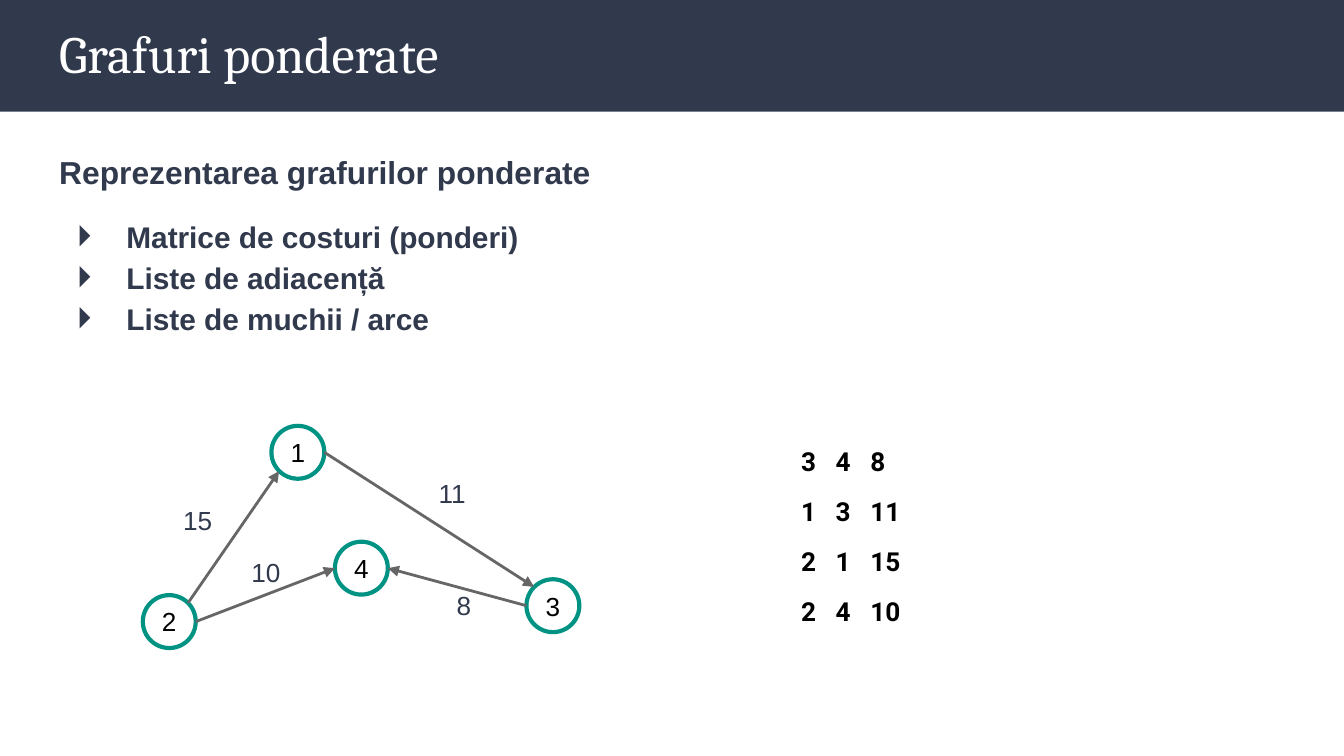
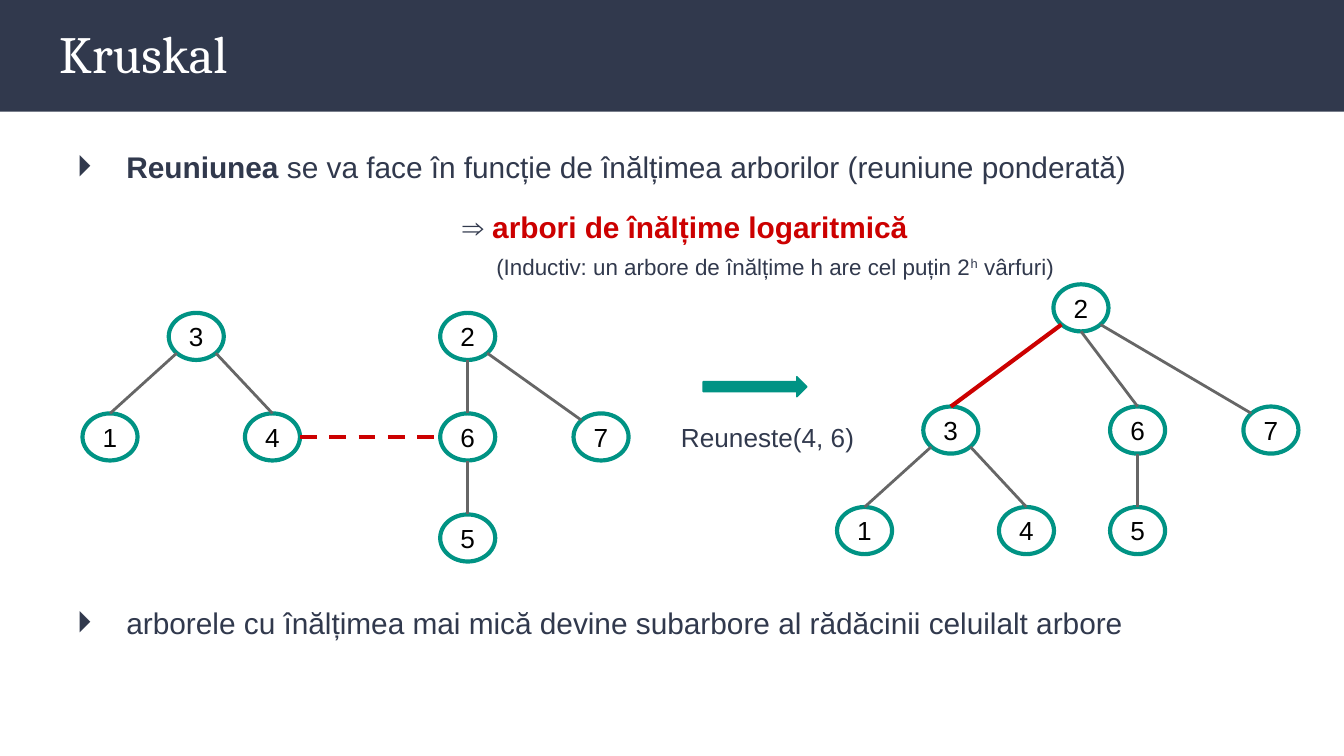
from lxml import etree
from pptx import Presentation
from pptx import util as u
from pptx.dml.color import RGBColor
from pptx.enum import dml, shapes, text
from pptx.oxml.ns import qn

NAVY = RGBColor(0x31, 0x39, 0x4D)
TEAL = RGBColor(0x00, 0x93, 0x84)
RED = RGBColor(0xCC, 0x00, 0x00)
GRAY = RGBColor(0x66, 0x66, 0x66)
BLACK = RGBColor(0x00, 0x00, 0x00)
WHITE = RGBColor(0xFF, 0xFF, 0xFF)

WIDTH, HEIGHT = 25.4, 14.29
DIAGONAL = 0.71
SITES = {
    "N": (0, -1), "S": (0, 1), "W": (-1, 0), "E": (1, 0),
    "NW": (-DIAGONAL, -DIAGONAL), "NE": (DIAGONAL, -DIAGONAL),
    "SW": (-DIAGONAL, DIAGONAL), "SE": (DIAGONAL, DIAGONAL),
}


def add_frame(page, left, top, width, height):
    box = page.shapes.add_textbox(u.Cm(left), u.Cm(top), u.Cm(width), u.Cm(height))
    frame = box.text_frame
    frame.word_wrap = True
    frame.margin_left = frame.margin_right = u.Cm(0.25)
    frame.margin_top = frame.margin_bottom = u.Cm(0.25)
    return frame


def write(frame, words, para=None, size=14, font="Arial", color=NAVY, bold=False,
          spacing=None, before=None, margin=0, bullet=False, align=None,
          raised=False, tracking=0):
    if para is None:
        para = frame.add_paragraph() if frame.text else frame.paragraphs[0]
        props = para._p.get_or_add_pPr()
        props.set("marL", str(int(u.Cm(margin))))
        props.set("indent", str(int(u.Cm(-0.94 if bullet else 0))))
        if bullet:
            tint = etree.SubElement(props, qn("a:buClr"))
            etree.SubElement(tint, qn("a:srgbClr"), val=str(NAVY))
            etree.SubElement(props, qn("a:buFont"), typeface=font)
            etree.SubElement(props, qn("a:buChar"), char="⏵")
        if spacing:
            para.line_spacing = spacing
        if before:
            para.space_before = u.Pt(before)
        if align is not None:
            para.alignment = align
    span = para.add_run()
    span.text = words
    span.font.size = u.Pt(size)
    span.font.name = font
    span.font.bold = bold
    span.font.color.rgb = color
    if raised:
        span._r.get_or_add_rPr().set("baseline", "30000")
    if tracking:
        span._r.get_or_add_rPr().set("spc", str(tracking * 100))
    return para


deck = Presentation()
deck.slide_width, deck.slide_height = u.Cm(WIDTH), u.Cm(HEIGHT)

pages, bodies = [], []
for title in ("Grafuri ponderate", "Kruskal"):
    page = deck.slides.add_slide(deck.slide_layouts[6])
    band = page.shapes.add_shape(shapes.MSO_SHAPE.RECTANGLE, 0, 0, u.Cm(WIDTH), u.Cm(2.11))
    band.shadow.inherit = False
    band.fill.solid()
    band.fill.fore_color.rgb = NAVY
    band.line.fill.background()
    heading = add_frame(page, 0.87, 0.13, 23.67, 1.73)
    heading.vertical_anchor = text.MSO_ANCHOR.MIDDLE
    write(heading, title, size=28, font="Cambria", color=WHITE)
    pages.append(page)
    bodies.append(add_frame(page, 0.87, 2.53, 23.67, 10.44))
weighted_page, kruskal_page = pages
weighted_body, kruskal_body = bodies

write(weighted_body, "Reprezentarea grafurilor ponderate", size=17, bold=True, spacing=1.15)
for before, item in (
    (12, "Matrice de costuri (ponderi)"),
    (0, "Liste de adiacență"),
    (0, "Liste de muchii / arce"),
):
    write(weighted_body, item, size=16, bold=True, spacing=1.15, before=before,
          margin=1.27, bullet=True)

para = write(kruskal_body, "Reuniunea", size=16, bold=True, spacing=1.05,
             margin=1.27, bullet=True)
write(kruskal_body, " se va face în funcție de înălțimea arborilor (reuniune ponderată)",
      para=para, size=16)
para = write(kruskal_body, "⇒ ", size=16, spacing=1.05, before=12, margin=7.62)
write(kruskal_body, "arbori de înălțime logaritmică", para=para, size=16, color=RED, bold=True)
para = write(kruskal_body, "(Inductiv: un arbore de înălțime h are cel puțin 2",
             size=12, spacing=1.05, before=4, margin=8.26)
write(kruskal_body, "h", para=para, size=12, raised=True)
write(kruskal_body, " vârfuri)", para=para, size=12)
write(kruskal_body,
      "arborele cu înălțimea mai mică devine subarbore al rădăcinii celuilalt arbore",
      size=16, spacing=1.05, before=173, margin=1.27, bullet=True)

graphs = [
    (weighted_page, 1.0, 1.0, True,
     {"1": (5.63, 8.55), "2": (3.2, 11.75), "4": (6.83, 10.74), "3": (10.45, 11.45)},
     ["2 NE 1 SW", "1 E 3 NW", "2 E 4 W", "3 W 4 E"], None, None),
    (kruskal_page, 1.04, 0.89, False,
     {"3": (3.71, 6.36), "1": (2.08, 8.26), "4": (5.15, 8.26), "2": (8.84, 6.36),
      "6": (8.84, 8.26), "7": (11.36, 8.26), "5": (8.84, 10.17)},
     ["3 SW 1 N", "3 SE 4 N", "2 S 6 N", "2 SE 7 NW", "6 S 5 N"],
     "4 E 6 W", dml.MSO_LINE.DASH),
    (kruskal_page, 1.04, 0.89, False,
     {"2": (20.43, 5.82), "3": (17.97, 8.13), "6": (21.5, 8.13), "7": (24.02, 8.13),
      "1": (16.34, 10.03), "4": (19.4, 10.03), "5": (21.5, 10.03)},
     ["3 SW 1 N", "3 SE 4 N", "2 S 6 N", "2 SE 7 NW", "6 S 5 N"],
     "2 SW 3 N", None),
]
for page, width, height, directed, nodes, edges, union_edge, dash in graphs:
    for name, (x, y) in nodes.items():
        node = page.shapes.add_shape(
            shapes.MSO_SHAPE.OVAL, u.Cm(x - width / 2), u.Cm(y - height / 2),
            u.Cm(width), u.Cm(height))
        node.shadow.inherit = False
        node.fill.background()
        node.line.color.rgb = TEAL
        node.line.width = u.Pt(2.25)
        frame = node.text_frame
        frame.margin_left = frame.margin_right = u.Cm(0.05)
        frame.margin_top = frame.margin_bottom = u.Cm(0.05)
        frame.vertical_anchor = text.MSO_ANCHOR.MIDDLE
        write(frame, name, color=BLACK, align=text.PP_ALIGN.CENTER)

    for edge in edges + ([union_edge] if union_edge else []):
        start, start_site, end, end_site = edge.split()
        ends = []
        for name, site in ((start, start_site), (end, end_site)):
            (x, y), (dx, dy) = nodes[name], SITES[site]
            ends += [u.Cm(x + dx * width / 2), u.Cm(y + dy * height / 2)]
        link = page.shapes.add_connector(shapes.MSO_CONNECTOR.STRAIGHT, *ends)
        is_union = edge == union_edge
        link.line.color.rgb = RED if is_union else GRAY
        link.line.width = u.Pt(2.25 if is_union else 1.5)
        if is_union and dash:
            link.line.dash_style = dash
        props = link._element.spPr
        if directed:
            etree.SubElement(props.find(qn("a:ln")), qn("a:tailEnd"), type="triangle")
        etree.SubElement(props, qn("a:effectLst"))

for cost, left, top in (("15", 3.21, 9.28), ("11", 8.04, 8.77),
                        ("10", 4.5, 10.26), ("8", 8.38, 10.9)):
    write(add_frame(weighted_page, left, top, 1.2, 1.12), cost)

edge_list = add_frame(weighted_page, 14.89, 8.17, 3, 3.99)
edge_style = dict(font="Roboto", color=BLACK, bold=True)
for index, (start, end, cost) in enumerate(("348", ("1", "3", "11"), ("2", "1", "15"),
                                            ("2", "4", "10"))):
    para = write(edge_list, start, before=10 if index else 0, **edge_style)
    for value in (end, cost):
        write(edge_list, " ", para=para, tracking=7, **edge_style)
        write(edge_list, value, para=para, **edge_style)

arrow = kruskal_page.shapes.add_shape(
    shapes.MSO_SHAPE.RIGHT_ARROW, u.Cm(13.29), u.Cm(7.12), u.Cm(1.96), u.Cm(0.38))
arrow.shadow.inherit = False
arrow.fill.solid()
arrow.fill.fore_color.rgb = TEAL
arrow.line.color.rgb = TEAL
arrow.line.width = u.Pt(0.75)
write(add_frame(kruskal_page, 12.62, 7.72, 3.84, 1.12), "Reuneste(4, 6)")

deck.save("out.pptx")
